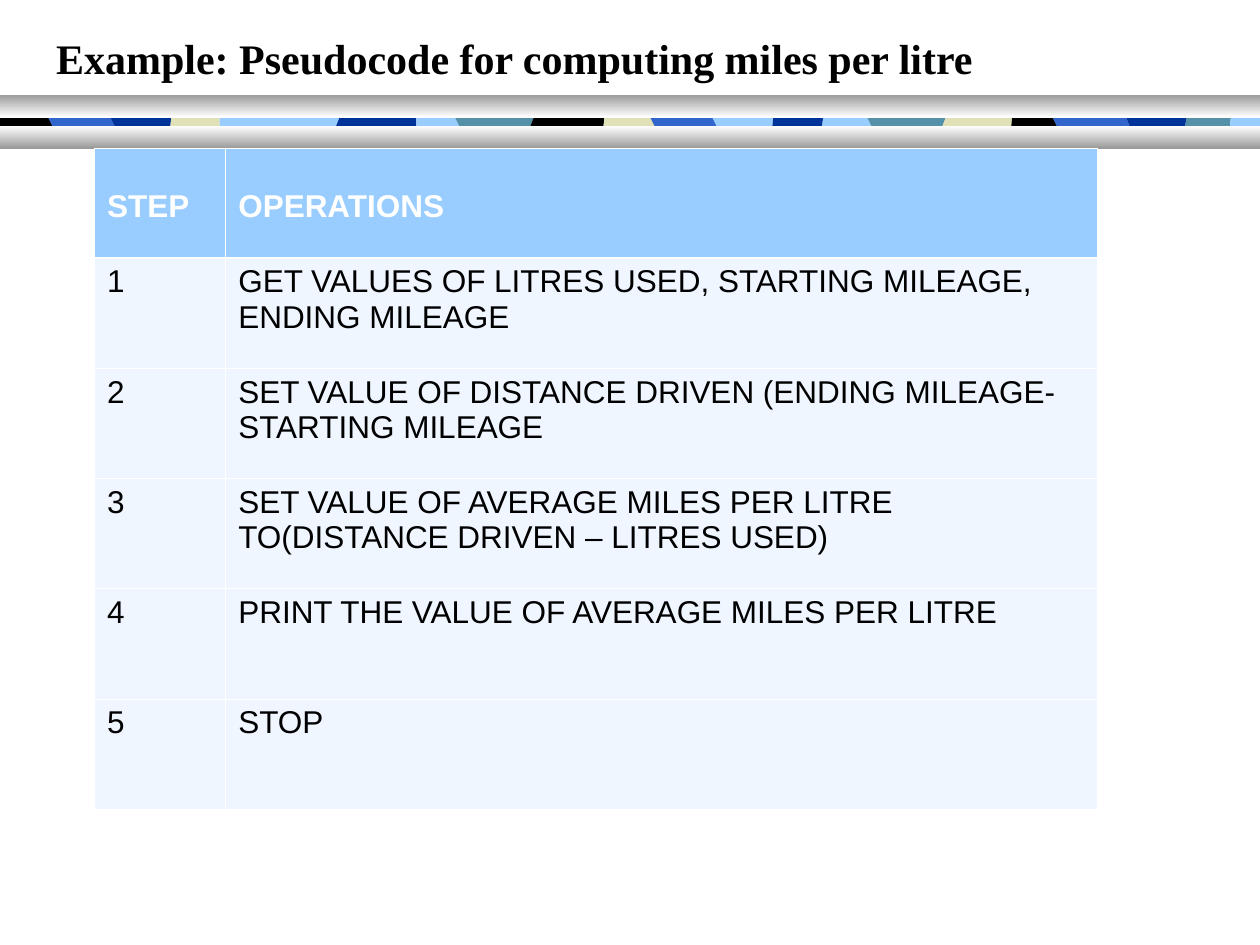
from dataclasses import dataclass
from lxml import etree
from pptx import Presentation
from pptx.dml.color import RGBColor as Rgb
from pptx.enum import shapes, text
from pptx.oxml import ns
from pptx.util import Pt


@dataclass(frozen=True)
class Theme:
    white: str = "FFFFFF"
    black: str = "000000"
    gray: str = "999999"
    sky: str = "99CCFF"
    pale: str = "EFF6FF"
    blue: str = "3366CC"
    navy: str = "003399"
    teal: str = "5490A8"
    sand: str = "E1E1B7"
    serif: str = "Times New Roman"
    sans: str = "Arial"
    title: float = 24
    body: float = 18
    thin: float = 0.45
    thick: float = 1.5


class Deck:
    """Draw styled elements on the current slide."""

    def __init__(self, theme, wide, high):
        self.theme = theme
        self.file = Presentation()
        self.file.slide_width, self.file.slide_height = Pt(wide), Pt(high)
        self.slide = self.file.slides.add_slide(self.file.slide_layouts[6])
        self.items = self.slide.shapes

    def style(self, para, face, size, color, bold):
        font = para.font
        font.name, font.size, font.bold = face, Pt(size), bold
        font.color.rgb = Rgb.from_string(color)

    def patch(self, points, color):
        start, *rest = [(Pt(x), Pt(y)) for x, y in points]
        pen = self.items.build_freeform(*start)
        pen.add_line_segments(rest, close=True)
        shape = pen.convert_to_shape()
        shape.shadow.inherit = False
        shape.fill.solid()
        shape.fill.fore_color.rgb = Rgb.from_string(color)
        shape.line.fill.background()

    def stripe(self, top, high, parts):
        left = (0, 0)
        for color, mid, lean in parts:
            right = (mid - lean, mid + lean)
            self.patch([(left[0], top), (right[0], top),
                        (right[1], top + high), (left[1], top + high)], color)
            left = right

    def bar(self, left, top, wide, high, colors):
        shape = self.items.add_shape(shapes.MSO_SHAPE.RECTANGLE,
                                     Pt(left), Pt(top), Pt(wide), Pt(high))
        shape.shadow.inherit = False
        shape.line.fill.background()
        shape.fill.gradient()
        shape.fill.gradient_angle = 270
        for stop, color in zip(shape.fill.gradient_stops, colors):
            stop.color.rgb = Rgb.from_string(color)

    def title(self, left, top, wide, high, words):
        frame = self.items.add_textbox(Pt(left), Pt(top), Pt(wide), Pt(high)).text_frame
        frame.word_wrap = True
        para = frame.paragraphs[0]
        para.text = words
        self.style(para, self.theme.serif, self.theme.title, self.theme.black, True)

    def edge(self, cell, row):
        props = cell._tc.get_or_add_tcPr()
        heavy = {0: "lnB", 1: "lnT"}.get(row)
        for spot, side in enumerate(("lnL", "lnR", "lnT", "lnB")):
            width = self.theme.thick if side == heavy else self.theme.thin
            line = etree.Element(ns.qn("a:" + side), w=str(int(Pt(width))))
            fill = etree.SubElement(line, ns.qn("a:solidFill"))
            etree.SubElement(fill, ns.qn("a:srgbClr"), val=self.theme.white)
            props.insert(spot, line)

    def table(self, left, top, cols, high, rows):
        look = self.theme
        grid = self.items.add_table(len(rows), len(cols), Pt(left), Pt(top),
                                    Pt(sum(cols)), Pt(high * len(rows))).table
        for col, wide in zip(grid.columns, cols):
            col.width = Pt(wide)
        for r, row in enumerate(rows):
            head = r == 0
            grid.rows[r].height = Pt(high)
            for c, words in enumerate(row):
                cell = grid.cell(r, c)
                cell.fill.solid()
                cell.fill.fore_color.rgb = Rgb.from_string(look.sky if head else look.pale)
                if head:
                    cell.vertical_anchor = text.MSO_ANCHOR.MIDDLE
                    cell.margin_top = Pt(8)
                para = cell.text_frame.paragraphs[0]
                para.text = words
                self.style(para, look.sans, look.body,
                           look.white if head else look.black, head)
                self.edge(cell, r)


t = Theme()
deck = Deck(t, 720, 540)
deck.stripe(61, 20, [
    (t.black, 29.5, 5), (t.blue, 65, 5), (t.navy, 97.5, -1), (t.sand, 125.5, 0),
    (t.sky, 192.5, -4), (t.navy, 238, 0), (t.sky, 262, 5), (t.teal, 303.5, -4),
    (t.black, 345, -1), (t.sand, 373.5, 5), (t.blue, 409, 5), (t.sky, 441.5, -1),
    (t.navy, 470, -1), (t.sky, 497.5, 5), (t.teal, 539, -4), (t.sand, 578, -1),
    (t.black, 603.5, 5), (t.blue, 645, 4), (t.navy, 677.5, -1), (t.teal, 703, -1),
    (t.sky, 720, 0),
])
deck.bar(0, 54, 720, 13, (t.gray, t.white))
deck.bar(0, 72, 720, 13, (t.white, t.gray))
deck.title(25, 15, 653, 36, "Example: Pseudocode for computing miles per litre")
steps = [
    "GET VALUES OF LITRES USED, STARTING MILEAGE, ENDING MILEAGE",
    "SET VALUE OF DISTANCE DRIVEN (ENDING MILEAGE-STARTING MILEAGE",
    "SET VALUE OF AVERAGE MILES PER LITRE TO(DISTANCE DRIVEN – LITRES USED)",
    "PRINT THE VALUE OF AVERAGE MILES PER LITRE",
    "STOP",
]
rows = [("STEP", "OPERATIONS")] + [(str(n), step) for n, step in enumerate(steps, 1)]
deck.table(54, 84.5, (75, 498), 63, rows)
deck.file.save("out.pptx")
